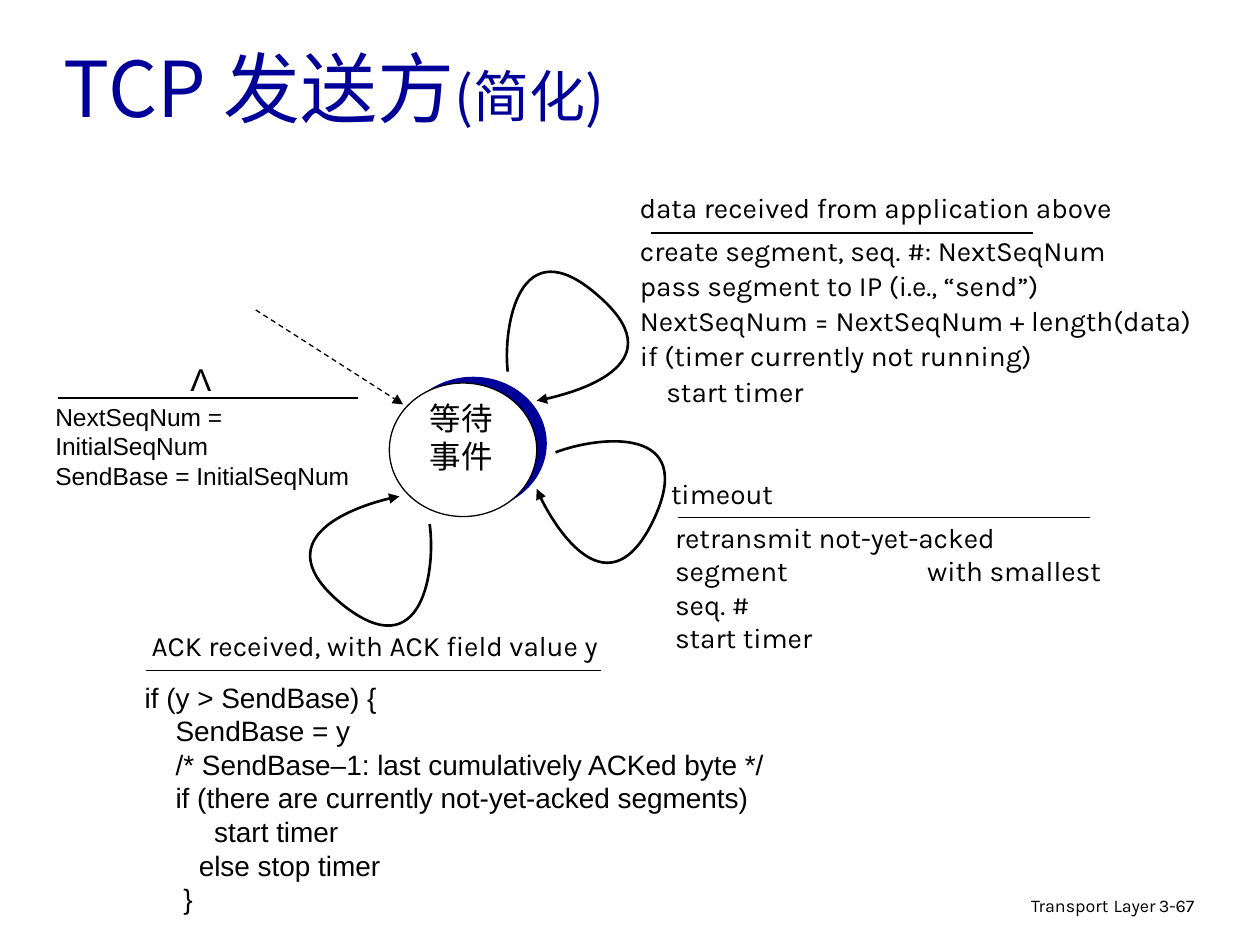
from typing import NamedTuple

from lxml.etree import SubElement
from pptx import Presentation
from pptx.dml.color import RGBColor
from pptx.enum.dml import MSO_LINE
from pptx.enum.shapes import MSO_CONNECTOR, MSO_SHAPE
from pptx.enum.text import MSO_ANCHOR, PP_ALIGN
from pptx.oxml.ns import qn
from pptx.util import Inches, Pt

BLACK, WHITE, NAVY = "000000", "FFFFFF", "000099"
KARLA, ARIAL, CJK = "Karla", "Arial", "Noto Sans CJK SC"
LEFT, MID, RIGHT = PP_ALIGN.LEFT, PP_ALIGN.CENTER, PP_ALIGN.RIGHT

Point = tuple[float, float]


class Run(NamedTuple):
    text: str
    size: float


class Label(NamedTuple):
    box: tuple[float, float, float, float]
    lines: list[list[Run]]
    font: str = KARLA
    align: PP_ALIGN = LEFT
    color: str = BLACK
    space: float = 1.0
    anchor: MSO_ANCHOR = MSO_ANCHOR.TOP
    tab: float = 0


class Rule(NamedTuple):
    start: Point
    end: Point
    arrow: bool = False


class Loop(NamedTuple):
    start: Point
    curves: list[tuple[Point, Point, Point]]


def rgb(code: str) -> RGBColor:
    return RGBColor.from_string(code)


def rows(size: float, *texts: str) -> list[list[Run]]:
    return [[Run(text, size)] for text in texts]


def add_label(slide, label: Label) -> None:
    frame = slide.shapes.add_textbox(*map(Inches, label.box)).text_frame
    frame.word_wrap = label.align != MID
    frame.vertical_anchor = label.anchor
    for num, line in enumerate(label.lines):
        para = frame.add_paragraph() if num else frame.paragraphs[0]
        para.alignment = label.align
        para.line_spacing = label.space
        if label.tab:
            tabs = SubElement(para._p.get_or_add_pPr(), qn("a:tabLst"))
            SubElement(tabs, qn("a:tab"), pos=str(Inches(label.tab)), algn="l")
        for part in line:
            run = para.add_run()
            run.text = part.text
            run.font.size = Pt(part.size)
            run.font.name = label.font
            run.font.color.rgb = rgb(label.color)
            SubElement(run._r.get_or_add_rPr(), qn("a:ea"), typeface=label.font)


def add_head(line) -> None:
    SubElement(line._get_or_add_ln(), qn("a:tailEnd"), type="triangle")


def add_rule(slide, rule: Rule) -> None:
    link = slide.shapes.add_connector(
        MSO_CONNECTOR.STRAIGHT, *map(Inches, rule.start + rule.end))
    link.line.color.rgb = rgb(BLACK)
    link.line.width = Pt(0.75)
    if rule.arrow:
        link.line.dash_style = MSO_LINE.DASH
        add_head(link.line)
    SubElement(link._element.spPr, qn("a:effectLst"))


def add_disc(slide, left: float, top: float, fill: str, edge: bool) -> None:
    disc = slide.shapes.add_shape(
        MSO_SHAPE.OVAL, *map(Inches, (left, top, 1.17, 1.06)))
    disc.shadow.inherit = False
    disc.fill.solid()
    disc.fill.fore_color.rgb = rgb(fill)
    if edge:
        disc.line.color.rgb = rgb(BLACK)
        disc.line.width = Pt(0.75)
    else:
        disc.line.fill.background()


def add_loop(slide, loop: Loop) -> None:
    pen = slide.shapes.build_freeform(*map(Inches, loop.start))
    points = [(Inches(x), Inches(y)) for curve in loop.curves for x, y in curve]
    pen.add_line_segments(points, close=False)
    shape = pen.convert_to_shape()
    # Turn each three straight steps into one cubic curve
    trail = shape._element.find(".//" + qn("a:path"))
    steps = trail.findall(qn("a:lnTo"))
    for first in range(0, len(steps), 3):
        curve = SubElement(trail, qn("a:cubicBezTo"))
        for step in steps[first:first + 3]:
            curve.append(step[0])
            trail.remove(step)
    shape.shadow.inherit = False
    shape.fill.background()
    shape.line.color.rgb = rgb(BLACK)
    shape.line.width = Pt(1.5)
    add_head(shape.line)


LABELS = [
    # Title and footer
    Label((0.41, 0.2, 8.46, 0.98), [[Run("TCP 发送方", 44), Run("(简化)", 32)]],
          CJK, color=NAVY, anchor=MSO_ANCHOR.MIDDLE),
    Label((6.1, 7.05, 3.17, 0.31),
          [[Run("Transport", 10.2), Run(" ", 11.9), Run("Layer", 10.2)]],
          align=RIGHT, space=0.9),
    Label((9.1, 7.07, 0.74, 0.3), rows(10.2, "3-67"), space=0.9),
    # State and its start
    Label((3.31, 3.12, 0.7, 0.7), rows(18, "等待", "事件"), CJK, MID),
    Label((1.41, 2.81, 0.37, 0.4), rows(18, "Λ"), ARIAL, MID),
    Label((0.34, 3.14, 2.79, 0.57),
          rows(14, "NextSeqNum = InitialSeqNum", "SendBase = InitialSeqNum"),
          ARIAL),
    # Data from above
    Label((4.92, 1.46, 4.06, 0.37),
          rows(16, "data received from application above"), align=MID),
    Label((4.98, 1.79, 4.78, 1.5),
          rows(16, "create segment, seq. #: NextSeqNum",
               "pass segment to IP (i.e., “send”)",
               "NextSeqNum = NextSeqNum + length(data)",
               "if (timer currently not running)",
               "    start timer"), space=1.05),
    # Timeout
    Label((5.22, 3.73, 1.02, 0.37), rows(16, "timeout"), align=MID),
    Label((5.26, 4.08, 3.6, 1.17),
          rows(16, "retransmit not-yet-acked segment\twith smallest seq. #",
               "start timer"), tab=2),
    # ACK received
    Label((1.02, 4.94, 3.91, 0.37),
          rows(16, "ACK received, with ACK field value y"), align=MID),
    Label((1.05, 5.35, 5.13, 1.97),
          rows(16, "if (y > SendBase) {",
               "    SendBase = y",
               "    /* SendBase–1: last cumulatively ACKed byte */",
               "    if (there are currently not-yet-acked segments)",
               "         start timer",
               "       else stop timer",
               "     }"), ARIAL),
]

RULES = [
    Rule((2.03, 2.46), (3.2, 3.21), arrow=True),
    Rule((0.46, 3.16), (2.84, 3.16)),
    Rule((5.17, 1.85), (8.2, 1.85)),
    Rule((5.38, 4.11), (8.65, 4.11)),
    Rule((1.16, 5.32), (4.77, 5.32)),
]

LOOPS = [
    Loop((4.03, 2.95), [((3.99, 2.59), (4.12, 1.8), (4.74, 2.34)),
                        ((5.36, 2.87), (4.52, 3.14), (4.26, 3.18))]),
    Loop((4.41, 3.59), [((4.75, 3.46), (5.54, 3.37), (5.19, 4.12)),
                        ((4.84, 4.86), (4.35, 4.12), (4.26, 3.88))]),
    Loop((3.41, 4.16), [((3.46, 4.51), (3.36, 5.31), (2.72, 4.8)),
                        ((2.08, 4.28), (2.91, 3.98), (3.17, 3.94))]),
]


def main() -> None:
    deck = Presentation()
    deck.slide_width, deck.slide_height = Inches(10), Inches(7.5)
    slide = deck.slides.add_slide(deck.slide_layouts[6])
    add_disc(slide, 3.17, 2.99, NAVY, edge=False)
    add_disc(slide, 3.09, 3.04, WHITE, edge=True)
    for label in LABELS:
        add_label(slide, label)
    for rule in RULES:
        add_rule(slide, rule)
    for loop in LOOPS:
        add_loop(slide, loop)
    deck.save("out.pptx")


if __name__ == "__main__":
    main()
